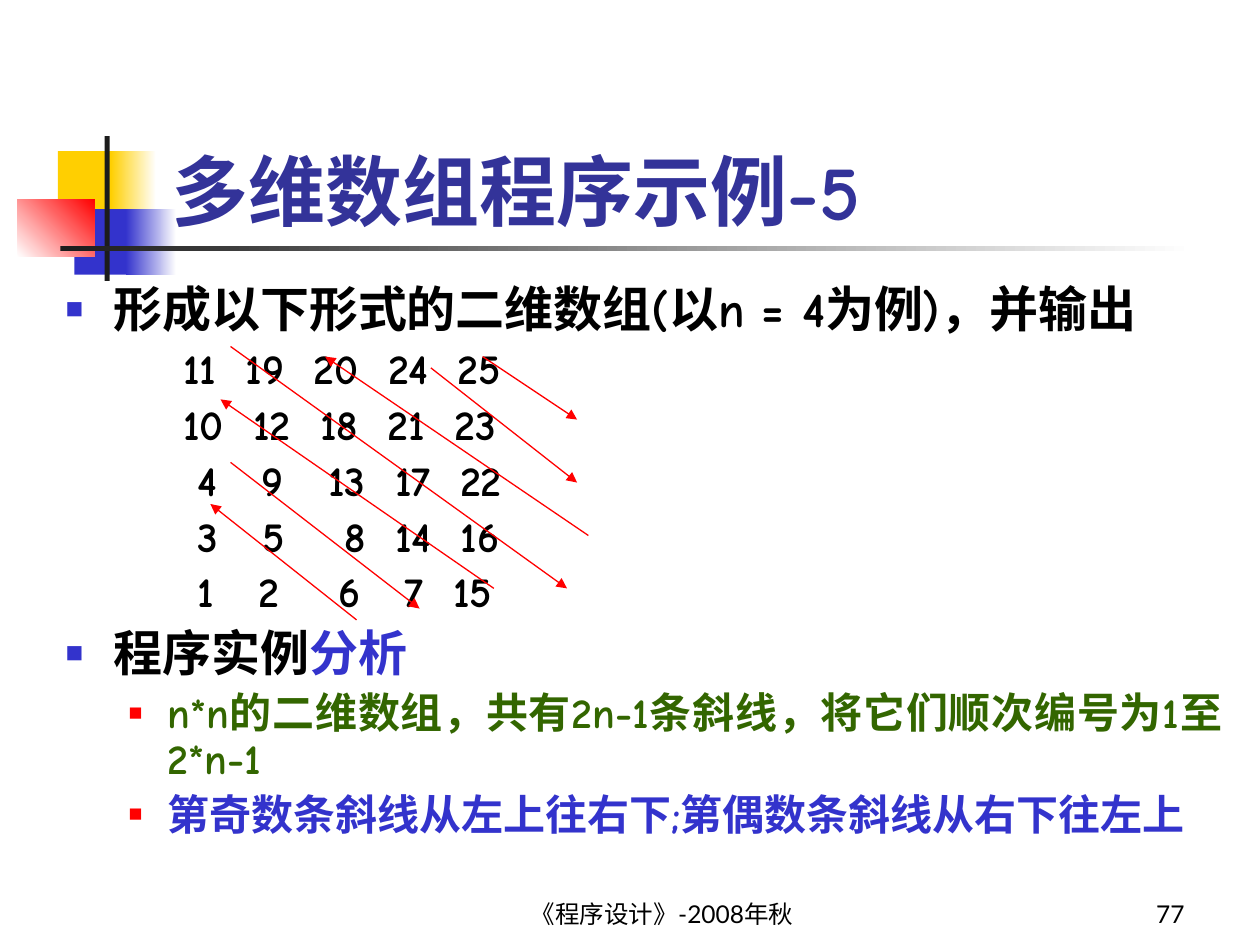
import pptx
import pptx.dml.color
import pptx.enum.shapes
import pptx.enum.text
import pptx.oxml.ns
import pptx.util
from lxml import etree
from pptx.util import Inches

COLORS = {
    "yellow": "FFCF01", "blue": "3333CC", "red": "FF0000", "white": "FFFFFF",
    "dark": "1C1C1C", "black": "000000", "title": "333399", "green": "336600",
}
ALIGN = pptx.enum.text.PP_ALIGN
ANCHOR = pptx.enum.text.MSO_ANCHOR

SPACE_WIDTH = 8.4
MATRIX = [
    ((11, 19, 20, 24, 25), (8, 2, 2, 2, 2)),
    ((10, 12, 18, 21, 23), (8, 2, 2, 2, 2)),
    ((4, 9, 13, 17, 22), (9, 3, 3, 2, 2)),
    ((3, 5, 8, 14, 16), (9, 3, 4, 2, 2)),
    ((1, 2, 6, 7, 15), (9, 3, 4, 3, 2)),
]
DIAGONALS = [
    ((1.16, 2.17), (0, 1.25)),
    ((0.16, 0.92), (1.66, 2.08)),
    ((2.25, 1.92), (0.08, 0.42)),
    ((0.16, 0), (2.83, 1.92)),
    ((3, 1.5), (0.91, 0.08)),
    ((1.75, 0.17), (2.91, 1.08)),
    ((2.16, 0.08), (2.91, 0.58)),
]


def rgb(name):
    """Return the named palette colour."""
    return pptx.dml.color.RGBColor.from_string(COLORS[name])


def add_child(parent, tag, **attributes):
    """Append a DrawingML element to its parent."""
    return etree.SubElement(parent, pptx.oxml.ns.qn("a:" + tag), attributes)


def write_text(paragraph, text, size=24, color="black", font="Comic Neue", bold=True,
               align=ALIGN.LEFT, spacing=0):
    """Add one formatted run, with letter spacing in points, to a paragraph."""
    paragraph.alignment = align
    run = paragraph.add_run()
    run.text = text
    run.font.size = pptx.util.Pt(size)
    run.font.name = font
    run.font.bold = bold
    run.font.color.rgb = rgb(color)
    if spacing:
        run._r.get_or_add_rPr().set("spc", str(round(spacing * 100)))


def place(shape, left, top, width, height):
    """Move and size a shape."""
    shape.left, shape.top = Inches(left), Inches(top)
    shape.width, shape.height = Inches(width), Inches(height)


def prepare_frame(shape, anchor):
    """Set wrapping, fitting and anchoring of a shape's text."""
    frame = shape.text_frame
    frame.word_wrap = True
    frame.auto_size = pptx.enum.text.MSO_AUTO_SIZE.NONE
    frame.vertical_anchor = anchor
    return frame


def add_block(slide, left, top, width, height, colors, angle=0):
    """Add a borderless rectangle, solid or with a two-colour gradient."""
    block = slide.shapes.add_shape(
        pptx.enum.shapes.MSO_SHAPE.RECTANGLE,
        Inches(left), Inches(top), Inches(width), Inches(height))
    block.shadow.inherit = False
    block.line.fill.background()
    if len(colors) == 1:
        block.fill.solid()
        block.fill.fore_color.rgb = rgb(colors[0])
        return
    block.fill.gradient()
    block.fill.gradient_angle = angle
    for stop, color, position in zip(block.fill.gradient_stops, colors, (0, 1)):
        stop.color.rgb = rgb(color)
        stop.position = position


def add_ornament(slide, left, top):
    """Draw the coloured blocks and the rules beside the title."""
    add_block(slide, left + 0.32, top + 0.12, 0.48, 0.52, ["yellow"])
    add_block(slide, left + 0.74, top + 0.12, 0.36, 0.52, ["yellow", "white"])
    add_block(slide, left + 0.45, top + 0.58, 0.46, 0.52, ["blue"])
    add_block(slide, left + 0.86, top + 0.58, 0.4, 0.52, ["blue", "white"])
    add_block(slide, left, top + 0.5, 0.61, 0.46, ["white", "red"], angle=45)
    add_block(slide, left + 0.69, top, 0.04, 1.15, ["dark"])
    add_block(slide, left + 0.34, top + 0.87, 9, 0.04, ["dark", "white"])


def add_footer(slide, left, top, width, height, text, align):
    """Add a line of footer text in its box."""
    box = slide.shapes.add_textbox(Inches(left), Inches(top), Inches(width), Inches(height))
    frame = prepare_frame(box, ANCHOR.BOTTOM)
    write_text(frame.paragraphs[0], text, size=14, font="Lato", bold=False, align=align)


def fill_title(slide, left, top, width, height):
    """Place and write the title."""
    title = slide.shapes.title
    place(title, left, top, width, height)
    frame = prepare_frame(title, ANCHOR.BOTTOM)
    write_text(frame.paragraphs[0], "多维数组程序示例-5", size=44, color="title")


def add_bullet(paragraph, level, runs, align=ALIGN.JUSTIFY):
    """Make a square-bulleted paragraph from (text, colour) runs."""
    margin, hanging, color, scale, size = [
        (0.38, -0.38, "blue", 60, 28), (0.81, -0.31, "red", 55, 24)][level]
    paragraph.level = level
    properties = paragraph._p.get_or_add_pPr()
    properties.set("marL", str(Inches(margin)))
    properties.set("indent", str(Inches(hanging)))
    add_child(add_child(properties, "buClr"), "srgbClr", val=COLORS[color])
    add_child(properties, "buSzPct", val=str(scale * 1000))
    add_child(properties, "buChar", char="■")
    for text, run_color in runs:
        write_text(paragraph, text, size=size, color=run_color, align=align)


def add_matrix_row(paragraph, numbers, gaps):
    """Write a row of numbers, each after a gap counted in space widths."""
    properties = paragraph._p.get_or_add_pPr()
    properties.set("marL", str(pptx.util.Pt(gaps[0] * SPACE_WIDTH)))
    properties.set("indent", "0")
    add_child(properties, "buNone")
    write_text(paragraph, str(numbers[0]))
    for number, gap in zip(numbers[1:], gaps[1:]):
        write_text(paragraph, " ", spacing=(gap - 1) * SPACE_WIDTH)
        write_text(paragraph, str(number))


def fill_body(slide, left, top, width, height):
    """Place and write the list with the number matrix."""
    body = slide.placeholders[1]
    place(body, left, top, width, height)
    frame = prepare_frame(body, ANCHOR.TOP)
    add_bullet(frame.paragraphs[0], 0,
               [("形成以下形式的二维数组(以n = 4为例)，并输出", "black")], align=ALIGN.LEFT)
    for numbers, gaps in MATRIX:
        add_matrix_row(frame.add_paragraph(), numbers, gaps)
    for level, runs in [
        (0, [("程序实例", "black"), ("分析", "blue")]),
        (1, [("n*n的二维数组，共有2n-1条斜线，将它们顺次编号为1至2*n-1", "green")]),
        (1, [("第奇数条斜线从左上往右下;第偶数条斜线从右下往左上", "blue")]),
    ]:
        add_bullet(frame.add_paragraph(), level, runs)
    for index, paragraph in enumerate(frame.paragraphs):
        paragraph.line_spacing = 0.9
        paragraph.space_before = pptx.util.Pt(0 if index == 0 else 7 if index == 6 else 6)
        paragraph.space_after = pptx.util.Pt(0)


def add_diagonals(slide, left, top):
    """Draw the arrows that show the filling order."""
    for (start_x, start_y), (end_x, end_y) in DIAGONALS:
        arrow = slide.shapes.add_connector(
            pptx.enum.shapes.MSO_CONNECTOR.STRAIGHT,
            Inches(left + start_x), Inches(top + start_y),
            Inches(left + end_x), Inches(top + end_y))
        arrow.line.color.rgb = rgb("red")
        arrow.line.width = pptx.util.Pt(0.75)
        add_child(arrow.line._get_or_add_ln(), "tailEnd", type="triangle")
        add_child(arrow._element.spPr, "effectLst")


def main():
    """Build and save the presentation."""
    presentation = pptx.Presentation()
    presentation.slide_width, presentation.slide_height = Inches(10), Inches(7.5)
    slide = presentation.slides.add_slide(presentation.slide_layouts[1])
    add_ornament(slide, 0.14, 1.08)
    add_footer(slide, 3.67, 6.92, 3.17, 0.5, "《程序设计》-2008年秋", ALIGN.CENTER)
    add_footer(slide, 7.42, 6.92, 2.08, 0.5, "77", ALIGN.RIGHT)
    fill_title(slide, 1.26, 0.67, 8.52, 1.25)
    fill_body(slide, 0.42, 2.21, 9.38, 4.5)
    add_diagonals(slide, 1.67, 2.75)
    presentation.save("out.pptx")


if __name__ == "__main__":
    main()
